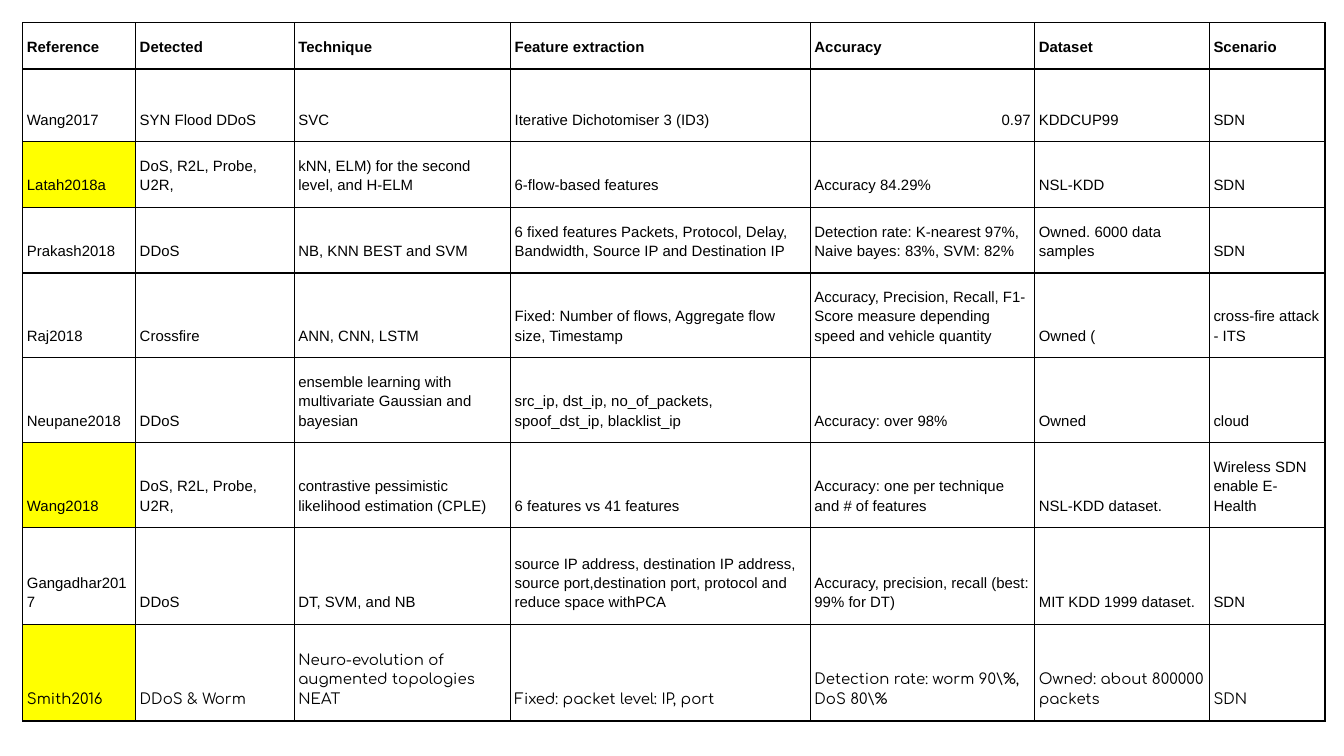
"""Build a slide with a table comparing machine-learning studies of attack detection."""
import pptx
import pptx.dml.color
import pptx.enum.text
import pptx.oxml
import pptx.oxml.ns
import pptx.util

Inches = pptx.util.Inches
Pt = pptx.util.Pt
PP_ALIGN = pptx.enum.text.PP_ALIGN

COLORS = {"ink": "000000", "highlight": "FFFF00", "page": "FFFFFF"}
COLUMN_WIDTHS = [0.84, 1.18, 1.61, 2.23, 1.67, 1.3, 0.86]
ROW_HEIGHTS = [0.34, 0.54, 0.49, 0.48, 0.63, 0.63, 0.63, 0.72, 0.72]
HIGHLIGHTED = {"Latah2018a", "Wang2018", "Smith2016"}
STUDIES = [
    ["Reference", "Detected", "Technique", "Feature extraction", "Accuracy", "Dataset", "Scenario"],
    ["Wang2017", "SYN Flood DDoS", "SVC", "Iterative Dichotomiser 3 (ID3)", "0.97", "KDDCUP99", "SDN"],
    ["Latah2018a", "DoS, R2L, Probe, U2R,", "kNN, ELM) for the second level, and H-ELM",
     "6-flow-based features", "Accuracy 84.29%", "NSL-KDD", "SDN"],
    ["Prakash2018", "DDoS", "NB, KNN BEST and SVM",
     "6 fixed features Packets, Protocol, Delay, Bandwidth, Source IP and Destination IP",
     "Detection rate: K-nearest 97%, Naive bayes: 83%, SVM: 82%", "Owned. 6000 data samples", "SDN"],
    ["Raj2018", "Crossfire", "ANN, CNN, LSTM",
     "Fixed: Number of flows, Aggregate flow size, Timestamp",
     "Accuracy, Precision, Recall, F1-Score measure depending speed and vehicle quantity",
     "Owned (", "cross-fire attack - ITS"],
    ["Neupane2018", "DDoS", "ensemble learning with multivariate Gaussian and bayesian",
     "src_ip, dst_ip, no_of_packets, spoof_dst_ip, blacklist_ip",
     "Accuracy: over 98%", "Owned", "cloud"],
    ["Wang2018", "DoS, R2L, Probe, U2R,", "contrastive pessimistic likelihood estimation (CPLE)",
     "6 features vs 41 features", "Accuracy: one per technique and # of features",
     "NSL-KDD dataset.", "Wireless SDN enable E-Health"],
    ["Gangadhar2017", "DDoS", "DT, SVM, and NB",
     "source IP address, destination IP address, source port,destination port, protocol and reduce space withPCA",
     "Accuracy, precision, recall (best: 99% for DT)", "MIT KDD 1999 dataset.", "SDN"],
    ["Smith2016", "DDoS & Worm", "Neuro-evolution of augmented topologies NEAT",
     "Fixed: packet level: IP, port", "Detection rate: worm 90\\%, DoS 80\\%",
     "Owned: about 800000 packets", "SDN"],
]


def rgb(name):
    return pptx.dml.color.RGBColor.from_string(COLORS[name])


def write_text(cell, text, font="Arial", bold=False, align=PP_ALIGN.LEFT):
    paragraph = cell.text_frame.paragraphs[0]
    paragraph.alignment = align
    paragraph.line_spacing = 1.15
    run = paragraph.add_run()
    run.text = text
    run.font.name = font
    run.font.size = Pt(8)
    run.font.bold = bold
    run.font.color.rgb = rgb("ink")


def add_borders(cell):
    properties = cell._tc.get_or_add_tcPr()
    for side in ("lnL", "lnR", "lnT", "lnB"):
        properties.append(pptx.oxml.parse_xml(
            f'<a:{side} {pptx.oxml.ns.nsdecls("a")} w="{Pt(0.75)}"><a:solidFill>'
            f'<a:srgbClr val="{COLORS["ink"]}"/></a:solidFill></a:{side}>'))


def format_cell(cell, highlighted):
    cell.vertical_anchor = pptx.enum.text.MSO_ANCHOR.BOTTOM
    cell.margin_left = cell.margin_right = Inches(0.03)
    cell.margin_top = cell.margin_bottom = Inches(0.1)
    add_borders(cell)
    if highlighted:
        cell.fill.solid()
        cell.fill.fore_color.rgb = rgb("highlight")
    else:
        cell.fill.background()


def add_study_table(slide):
    studies = slide.shapes.add_table(
        len(STUDIES), len(COLUMN_WIDTHS), Inches(0.17), Inches(0.17),
        Inches(sum(COLUMN_WIDTHS)), Inches(sum(ROW_HEIGHTS))).table
    studies.first_row = studies.horz_banding = False
    for column, width in zip(studies.columns, COLUMN_WIDTHS):
        column.width = Inches(width)
    for row, height in zip(studies.rows, ROW_HEIGHTS):
        row.height = Inches(height)
    for row_index, study in enumerate(STUDIES):
        for column_index, text in enumerate(study):
            cell = studies.cell(row_index, column_index)
            format_cell(cell, text in HIGHLIGHTED)
            write_text(cell, text, bold=row_index == 0,
                       font="Comfortaa" if study[0] == "Smith2016" else "Arial",
                       align=PP_ALIGN.RIGHT if text == "0.97" else PP_ALIGN.LEFT)


def main():
    presentation = pptx.Presentation()
    presentation.slide_width = Inches(10)
    presentation.slide_height = Inches(10 * 9 / 16)
    slide = presentation.slides.add_slide(presentation.slide_layouts[6])
    slide.background.fill.solid()
    slide.background.fill.fore_color.rgb = rgb("page")
    add_study_table(slide)
    presentation.save("out.pptx")


if __name__ == "__main__":
    main()
